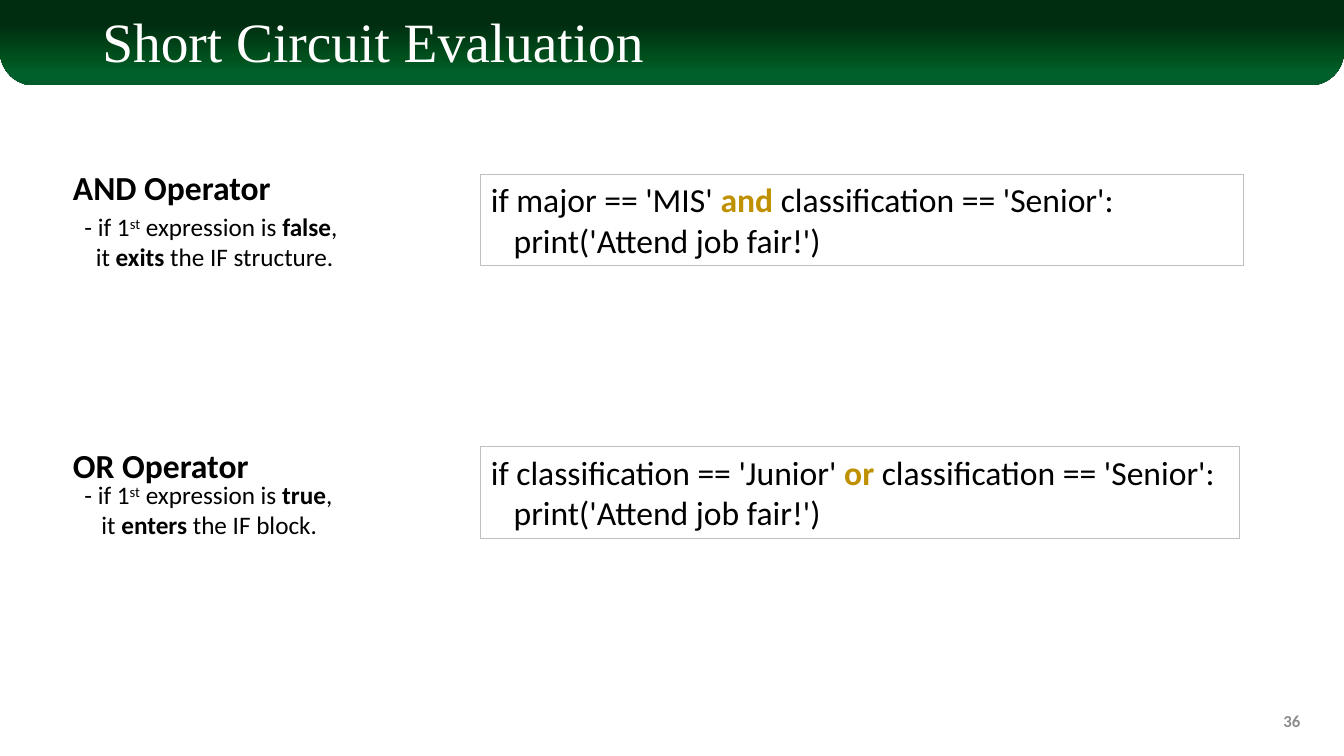
from dataclasses import dataclass

from lxml import etree
from pptx import Presentation
from pptx.dml.color import RGBColor
from pptx.enum import shapes, text
from pptx.util import Pt


@dataclass(frozen=True)
class Theme:
    ink: str = "000000"
    keyword: str = "BF9000"
    title: str = "FFFFFF"
    number: str = "8C8C8C"
    border: str = "BFBFBF"
    banner: tuple = ((0, "002D10"), (28, "002D10"), (68, "00501D"), (85, "00602B"), (100, "005C2B"))
    body_font: str = "Calibri"
    title_font: str = "Times New Roman"
    title_size: float = 39.6
    heading_size: int = 24
    note_size: int = 18
    number_size: int = 12


theme = Theme()
A = "http://schemas.openxmlformats.org/drawingml/2006/main"


def add_run(paragraph, words, size, color=theme.ink, bold=False, font=theme.body_font):
    run = paragraph.add_run()
    run.text = words
    run.font.size = Pt(size)
    run.font.name = font
    run.font.bold = bold
    run.font.color.rgb = RGBColor.from_string(color)
    return run


def add_text(left, top, width, height, anchor=text.MSO_ANCHOR.TOP, wrap=False):
    frame = slide.shapes.add_textbox(Pt(left), Pt(top), Pt(width), Pt(height)).text_frame
    frame.word_wrap = wrap
    frame.vertical_anchor = anchor
    return frame


deck = Presentation()
deck.slide_width, deck.slide_height = Pt(960), Pt(540)
slide = deck.slides.add_slide(deck.slide_layouts[6])

# Banner with rounded lower corners and a vertical gradient
banner = slide.shapes.add_shape(shapes.MSO_SHAPE.ROUND_2_SAME_RECTANGLE, 0, 0, Pt(960), Pt(61))
banner.adjustments[0], banner.adjustments[1] = 0, 0.4
banner.shadow.inherit = False
banner.line.fill.background()
banner.fill.gradient()
gradient = banner._element.spPr.find(f"{{{A}}}gradFill")
for part in list(gradient):
    gradient.remove(part)
stops = etree.SubElement(gradient, f"{{{A}}}gsLst")
for percent, color in theme.banner:
    stop = etree.SubElement(stops, f"{{{A}}}gs", pos=str(percent * 1000))
    etree.SubElement(stop, f"{{{A}}}srgbClr", val=color)
etree.SubElement(gradient, f"{{{A}}}lin", ang="5400000", scaled="0")

# Title
title = add_text(66, 9.5, 828, 44, text.MSO_ANCHOR.MIDDLE, wrap=True).paragraphs[0]
title.line_spacing = 0.9
add_run(title, "Short Circuit Evaluation", theme.title_size, theme.title, font=theme.title_font)

# Slide number
number = add_text(720, 500.5, 216, 29, text.MSO_ANCHOR.MIDDLE, wrap=True).paragraphs[0]
number.alignment = text.PP_ALIGN.RIGHT
add_run(number, "36", theme.number_size, theme.number, bold=True)

# Operators: heading, note and code, each with its top and width
operators = [
    dict(name="AND Operator", heading=(116, 157), note=(147.5, 206), code=(124.5, 544.5),
         result="false", verb="exits", outcome=" the IF structure.", indent=16.3,
         condition=("if major == 'MIS' ", "and", " classification == 'Senior':")),
    dict(name="OR Operator", heading=(314, 141), note=(339, 202), code=(319, 542),
         result="true", verb="enters", outcome=" the IF block.", indent=20.4,
         condition=("if classification == 'Junior' ", "or", " classification == 'Senior':")),
]
for operator in operators:
    top, width = operator["heading"]
    heading = add_text(45, top, width, 36).paragraphs[0]
    add_run(heading, operator["name"], theme.heading_size, bold=True)

    # Note with a raised ordinal and bold key words
    top, width = operator["note"]
    note = add_text(45, top, width, 51)
    test, effect = note.paragraphs[0], note.add_paragraph()
    for line, indent in ((test, 8.2), (effect, operator["indent"])):
        line._p.get_or_add_pPr().set("marL", str(Pt(indent)))
    add_run(test, "- if 1", theme.note_size)
    ordinal = add_run(test, "st", theme.note_size)
    ordinal._r.get_or_add_rPr().set("baseline", "30000")
    add_run(test, " expression is ", theme.note_size)
    add_run(test, operator["result"], theme.note_size, bold=True)
    add_run(test, ",", theme.note_size)
    add_run(effect, "it ", theme.note_size)
    add_run(effect, operator["verb"], theme.note_size, bold=True)
    add_run(effect, operator["outcome"], theme.note_size)

    # Code box with the operator highlighted
    top, width = operator["code"]
    code = slide.shapes.add_shape(shapes.MSO_SHAPE.RECTANGLE, Pt(343.5), Pt(top), Pt(width), Pt(65.5))
    code.shadow.inherit = False
    code.fill.background()
    code.line.color.rgb = RGBColor.from_string(theme.border)
    code.line.width = Pt(0.75)
    code.text_frame.word_wrap = True
    code.text_frame.vertical_anchor = text.MSO_ANCHOR.TOP
    condition, action = code.text_frame.paragraphs[0], code.text_frame.add_paragraph()
    condition.alignment = action.alignment = text.PP_ALIGN.LEFT
    before, keyword, after = operator["condition"]
    add_run(condition, before, theme.heading_size)
    add_run(condition, keyword, theme.heading_size, theme.keyword, bold=True)
    add_run(condition, after, theme.heading_size)
    add_run(action, "   print('Attend job fair!')", theme.heading_size)

deck.save("out.pptx")
